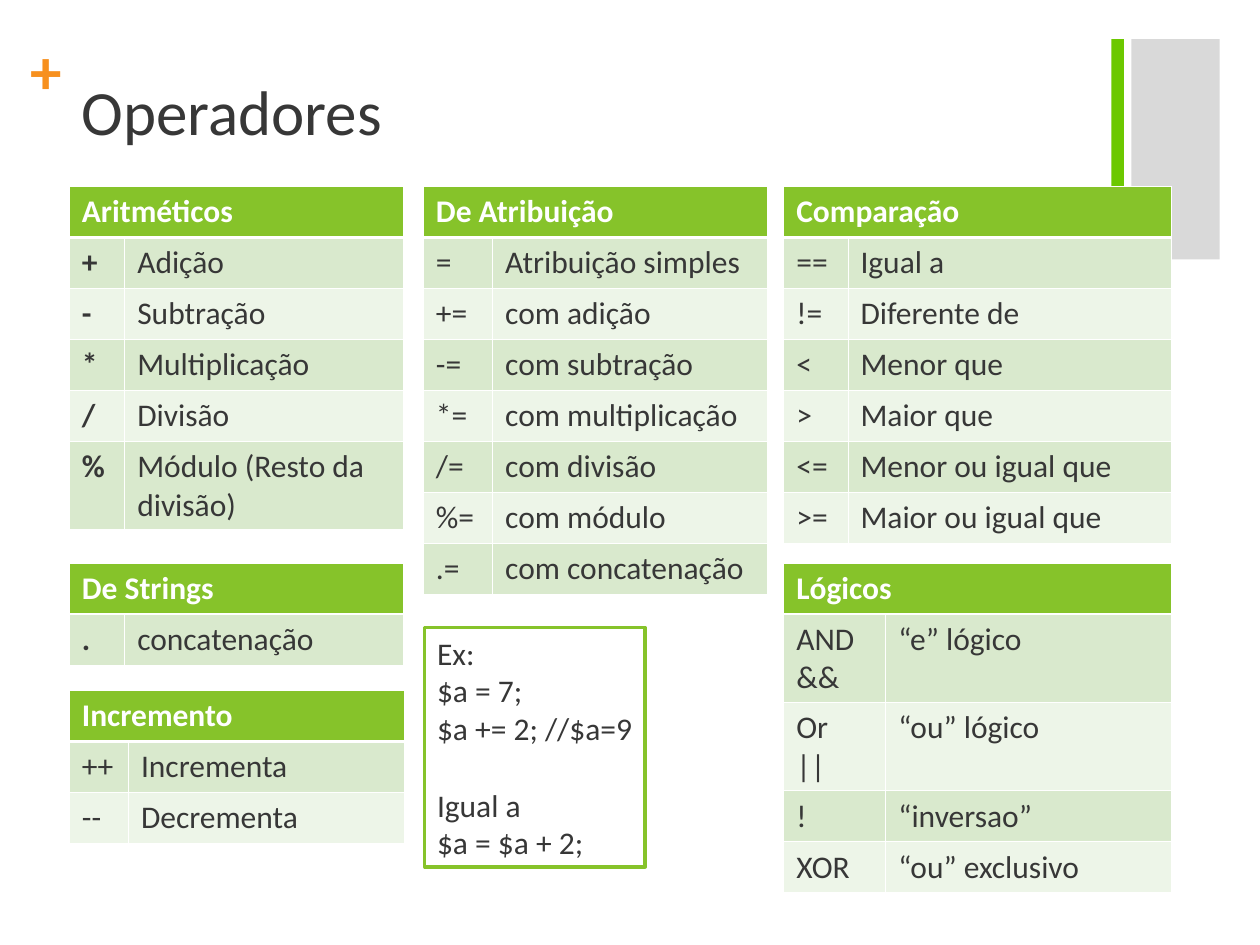
from dataclasses import dataclass

from lxml import etree
from pptx import Presentation
from pptx.dml.color import RGBColor
from pptx.enum.shapes import MSO_SHAPE
from pptx.enum.text import MSO_ANCHOR, PP_ALIGN
from pptx.oxml.ns import qn
from pptx.util import Inches, Pt

RECT = MSO_SHAPE.RECTANGLE
TOP = MSO_ANCHOR.TOP
LEFT = PP_ALIGN.LEFT

COLORS = {
    "white": "FFFFFF",
    "text": "373737",
    "header": "86C32A",
    "band_dark": "D9E9CD",
    "band_light": "EDF5E8",
    "gray_bar": "D9D9D9",
    "green_bar": "6CC800",
    "plus": "F7901E",
}
FONT = "Calibri"
BODY_SIZE = 18
ROW_HEIGHT = Inches(0.81) // 2
TALL_ROW_HEIGHT = Inches(0.7)
THIN, THICK = 0.45, 1.47
COL_1, COL_2, COL_3 = 0.55, 3.36, 6.22
ROW_1, ROW_2, ROW_3 = 1.48, 4.47, 5.48


@dataclass(frozen=True)
class OperatorTable:
    title: str
    left: float
    top: float
    widths: tuple[float, float]
    rows: tuple[tuple[str, str], ...]
    tall_rows: tuple[int, ...] = ()
    bold_symbols: bool = False


@dataclass(frozen=True)
class Bar:
    left: float
    width: float
    color: str


@dataclass(frozen=True)
class Label:
    text: str
    left: float
    top: float
    width: float
    height: float
    color: str
    bold: bool
    margins: tuple[float, float]


BARS = (Bar(8.98, 0.7, "gray_bar"), Bar(8.82, 0.1, "green_bar"))

LABELS = (
    Label("+", 0.24, 0.25, 0.28, 0.6, "plus", True, (0, 0)),
    Label("Operadores", 0.55, 0.53, 8.26, 1.22, "text", False, (0.1, 0.05)),
)

TABLES = (
    OperatorTable("Aritméticos", COL_1, ROW_1, (0.44, 2.21), (
        ("+", "Adição"),
        ("-", "Subtração"),
        ("*", "Multiplicação"),
        ("/", "Divisão"),
        ("%", "Módulo (Resto da divisão)"),
    ), tall_rows=(5,), bold_symbols=True),
    OperatorTable("De Strings", COL_1, ROW_2, (0.44, 2.21), (
        (".", "concatenação"),
    ), bold_symbols=True),
    OperatorTable("De Atribuição", COL_2, ROW_1, (0.55, 2.18), (
        ("=", "Atribuição simples"),
        ("+=", "com adição"),
        ("-=", "com subtração"),
        ("*=", "com multiplicação"),
        ("/=", "com divisão"),
        ("%=", "com módulo"),
        (".=", "com concatenação"),
    )),
    OperatorTable("Incremento", COL_1, ROW_3, (0.47, 2.19), (
        ("++", "Incrementa"),
        ("--", "Decrementa"),
    )),
    OperatorTable("Comparação", COL_3, ROW_1, (0.51, 2.57), (
        ("==", "Igual a"),
        ("!=", "Diferente de"),
        ("<", "Menor que"),
        (">", "Maior que"),
        ("<=", "Menor ou igual que"),
        (">=", "Maior ou igual que"),
    )),
    OperatorTable("Lógicos", COL_3, ROW_2, (0.81, 2.27), (
        ("AND &&", "“e” lógico"),
        ("Or\v||", "“ou” lógico"),
        ("!", "“inversao”"),
        ("XOR", "“ou” exclusivo"),
    ), tall_rows=(1, 2)),
)

EXAMPLE = ("Ex:\v$a = 7;\v$a += 2; //$a=9", "Igual a\v$a = $a + 2;")


def rgb(name: str) -> RGBColor:
    return RGBColor.from_string(COLORS[name])


def format_runs(tf, size: float, color: str, bold: bool = False) -> None:
    for p in tf.paragraphs:
        p.alignment = LEFT
        for r in p.runs:
            r.font.name = FONT
            r.font.size = Pt(size)
            r.font.bold = bold
            r.font.color.rgb = rgb(color)


def set_borders(cell, top: float, bottom: float) -> None:
    tc_pr = cell._tc.get_or_add_tcPr()
    sides = (("lnL", THIN), ("lnR", THIN), ("lnT", top), ("lnB", bottom))
    for i, (side, width) in enumerate(sides):
        ln = etree.Element(qn(f"a:{side}"), w=str(Pt(width)))
        fill = etree.SubElement(ln, qn("a:solidFill"))
        etree.SubElement(fill, qn("a:srgbClr"), val=COLORS["white"])
        tc_pr.insert(i, ln)


def style_cell(cell, row: int) -> None:
    cell.fill.solid()
    band = "band_dark" if row % 2 else "band_light"
    cell.fill.fore_color.rgb = rgb(band if row else "header")
    set_borders(cell, THICK if row == 1 else THIN, THIN if row else THICK)


def add_operator_table(slide, spec: OperatorTable) -> None:
    heights = [TALL_ROW_HEIGHT if i in spec.tall_rows else ROW_HEIGHT
               for i in range(len(spec.rows) + 1)]
    table = slide.shapes.add_table(
        len(heights), 2, Inches(spec.left), Inches(spec.top),
        Inches(sum(spec.widths)), sum(heights)).table
    for column, width in zip(table.columns, spec.widths):
        column.width = Inches(width)
    for i, texts in enumerate(((spec.title, ""), *spec.rows)):
        table.rows[i].height = heights[i]
        for j, text in enumerate(texts):
            cell = table.cell(i, j)
            cell.text_frame.text = text
            bold = i == 0 or (j == 0 and spec.bold_symbols)
            format_runs(cell.text_frame, BODY_SIZE, "text" if i else "white", bold)
            style_cell(cell, i)
    table.cell(0, 0).merge(table.cell(0, 1))


def add_rect(slide, left: float, top: float, width: float, height: float, color: str):
    sp = slide.shapes.add_shape(
        RECT, Inches(left), Inches(top), Inches(width), Inches(height))
    sp.shadow.inherit = False
    sp.fill.solid()
    sp.fill.fore_color.rgb = rgb(color)
    sp.line.fill.background()
    return sp


def add_label(slide, spec: Label) -> None:
    tf = slide.shapes.add_textbox(
        Inches(spec.left), Inches(spec.top),
        Inches(spec.width), Inches(spec.height)).text_frame
    tf.word_wrap = True
    tf.margin_left = tf.margin_right = Inches(spec.margins[0])
    tf.margin_top = tf.margin_bottom = Inches(spec.margins[1])
    tf.text = spec.text
    format_runs(tf, 36, spec.color, spec.bold)


def add_example(slide) -> None:
    sp = add_rect(slide, 3.37, 4.98, 1.75, 1.9, "white")
    sp.line.color.rgb = rgb("header")
    sp.line.width = Pt(2)
    tf = sp.text_frame
    tf.word_wrap = False
    tf.vertical_anchor = TOP
    tf.text = EXAMPLE[0]
    p = tf.add_paragraph()
    p.text = EXAMPLE[1]
    p.space_before = Pt(22)
    format_runs(tf, BODY_SIZE, "text")


def main() -> None:
    prs = Presentation()
    prs.slide_width, prs.slide_height = Inches(10), Inches(7.5)
    s = prs.slides.add_slide(prs.slide_layouts[6])
    for bar in BARS:
        add_rect(s, bar.left, 0.31, bar.width, 1.75, bar.color)
    for label in LABELS:
        add_label(s, label)
    for spec in TABLES:
        add_operator_table(s, spec)
    add_example(s)
    prs.save("out.pptx")


if __name__ == "__main__":
    main()
